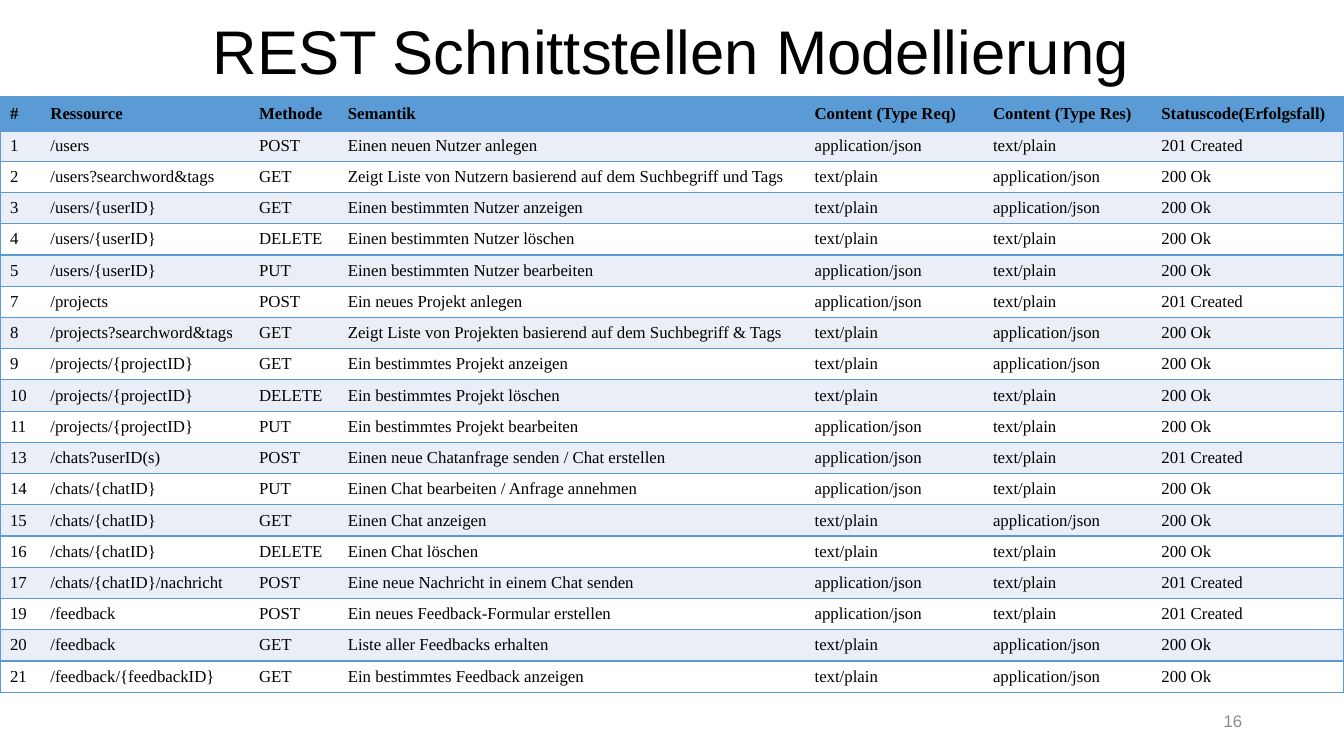
"""Build a slide with a table of REST endpoints."""
from dataclasses import dataclass

import lxml.etree
import pptx
import pptx.dml.color
import pptx.enum.text
import pptx.oxml.ns
import pptx.slide
import pptx.table
import pptx.text.text
import pptx.util

Inches = pptx.util.Inches
Align = pptx.enum.text.PP_ALIGN
Anchor = pptx.enum.text.MSO_ANCHOR

BLUE, PALE, WHITE, BLACK, GRAY = "5B9BD5", "EAEFF7", "FFFFFF", "000000", "8C8C8C"
JSON, PLAIN = "application/json", "text/plain"
CREATED, OK = "201 Created", "200 Ok"


@dataclass(frozen=True)
class Method:
    """Content types and success status shared by all calls of an HTTP method."""
    name: str
    request: str
    response: str
    status: str


@dataclass(frozen=True)
class Endpoint:
    """One numbered REST call."""
    number: int
    resource: str
    method: Method
    meaning: str

    def texts(self) -> list[str]:
        """Return the cell texts of this call."""
        method = self.method
        return [str(self.number), self.resource, method.name, self.meaning,
                method.request, method.response, method.status]


@dataclass(frozen=True)
class Column:
    """Heading and width in inches of a table column."""
    heading: str
    width: float


@dataclass(frozen=True)
class Label:
    """A line of free text with its box in inches."""
    text: str
    left: float
    top: float
    width: float
    height: float
    size: int
    color: str
    align: Align
    spacing: float


POST = Method("POST", JSON, PLAIN, CREATED)
GET = Method("GET", PLAIN, JSON, OK)
PUT = Method("PUT", JSON, PLAIN, OK)
DELETE = Method("DELETE", PLAIN, PLAIN, OK)

COLUMNS = [
    Column("#", 0.4),
    Column("Ressource", 2.07),
    Column("Methode", 0.88),
    Column("Semantik", 4.63),
    Column("Content (Type Req)", 1.77),
    Column("Content (Type Res)", 1.67),
    Column("Statuscode(Erfolgsfall)", 1.91),
]

ENDPOINTS = [
    Endpoint(1, "/users", POST, "Einen neuen Nutzer anlegen"),
    Endpoint(2, "/users?searchword&tags", GET,
             "Zeigt Liste von Nutzern basierend auf dem Suchbegriff und Tags"),
    Endpoint(3, "/users/{userID}", GET, "Einen bestimmten Nutzer anzeigen"),
    Endpoint(4, "/users/{userID}", DELETE, "Einen bestimmten Nutzer löschen"),
    Endpoint(5, "/users/{userID}", PUT, "Einen bestimmten Nutzer bearbeiten"),
    Endpoint(7, "/projects", POST, "Ein neues Projekt anlegen"),
    Endpoint(8, "/projects?searchword&tags", GET,
             "Zeigt Liste von Projekten basierend auf dem Suchbegriff & Tags"),
    Endpoint(9, "/projects/{projectID}", GET, "Ein bestimmtes Projekt anzeigen"),
    Endpoint(10, "/projects/{projectID}", DELETE, "Ein bestimmtes Projekt löschen"),
    Endpoint(11, "/projects/{projectID}", PUT, "Ein bestimmtes Projekt bearbeiten"),
    Endpoint(13, "/chats?userID(s)", POST, "Einen neue Chatanfrage senden / Chat erstellen"),
    Endpoint(14, "/chats/{chatID}", PUT, "Einen Chat bearbeiten / Anfrage annehmen"),
    Endpoint(15, "/chats/{chatID}", GET, "Einen Chat anzeigen"),
    Endpoint(16, "/chats/{chatID}", DELETE, "Einen Chat löschen"),
    Endpoint(17, "/chats/{chatID}/nachricht", POST, "Eine neue Nachricht in einem Chat senden"),
    Endpoint(19, "/feedback", POST, "Ein neues Feedback-Formular erstellen"),
    Endpoint(20, "/feedback", GET, "Liste aller Feedbacks erhalten"),
    Endpoint(21, "/feedback/{feedbackID}", GET, "Ein bestimmtes Feedback anzeigen"),
]

LABELS = [
    Label("REST Schnittstellen Modellierung", 0.91, -0.05, 11.5, 1.19, 44, BLACK,
          Align.CENTER, 0.9),
    Label("16", 9.42, 6.95, 3, 0.4, 12, GRAY, Align.RIGHT, 1.0),
]

TABLE_TOP, HEADER_HEIGHT, ROW_HEIGHT = 0.96, 0.33, 0.31


def rgb(color: str) -> pptx.dml.color.RGBColor:
    """Turn a hex string into a colour."""
    return pptx.dml.color.RGBColor.from_string(color)


def style_font(paragraph: pptx.text.text._Paragraph, name: str, size: int,
               color: str, bold: bool = False) -> None:
    """Set the font of a whole paragraph."""
    font = paragraph.font
    font.name, font.size, font.bold = name, pptx.util.Pt(size), bold
    font.color.rgb = rgb(color)


def add_label(slide: pptx.slide.Slide, label: Label) -> None:
    """Add a line of free text."""
    box = slide.shapes.add_textbox(Inches(label.left), Inches(label.top),
                                   Inches(label.width), Inches(label.height))
    frame = box.text_frame
    frame.word_wrap, frame.vertical_anchor = True, Anchor.MIDDLE
    paragraph = frame.paragraphs[0]
    paragraph.text, paragraph.alignment = label.text, label.align
    paragraph.line_spacing = label.spacing
    style_font(paragraph, "Arial", label.size, label.color)


def add_border(cell: pptx.table._Cell, side: str, points: float) -> None:
    """Draw one cell border, or hide it when its width is zero."""
    qn = pptx.oxml.ns.qn
    line = lxml.etree.SubElement(cell._tc.get_or_add_tcPr(), qn(f"a:ln{side}"),
                                 w=str(pptx.util.Pt(points)))
    if points:
        fill = lxml.etree.SubElement(line, qn("a:solidFill"))
        lxml.etree.SubElement(fill, qn("a:srgbClr"), val=BLUE)
    else:
        lxml.etree.SubElement(line, qn("a:noFill"))


def fill_cell(cell: pptx.table._Cell, text: str, color: str, bold: bool,
              borders: dict[str, float]) -> None:
    """Write and style one table cell."""
    cell.text, cell.vertical_anchor = text, Anchor.MIDDLE
    style_font(cell.text_frame.paragraphs[0], "Times New Roman", 12, BLACK, bold)
    for side, points in borders.items():
        add_border(cell, side, points)
    cell.fill.solid()
    cell.fill.fore_color.rgb = rgb(color)


def add_endpoint_table(slide: pptx.slide.Slide) -> None:
    """Add the heading row and one row for each endpoint."""
    rows = [[column.heading for column in COLUMNS]]
    rows += [endpoint.texts() for endpoint in ENDPOINTS]
    width = sum(column.width for column in COLUMNS)
    height = HEADER_HEIGHT + ROW_HEIGHT * len(ENDPOINTS)
    table = slide.shapes.add_table(len(rows), len(COLUMNS), 0, Inches(TABLE_TOP),
                                   Inches(width), Inches(height)).table
    for index, column in enumerate(COLUMNS):
        table.columns[index].width = Inches(column.width)
    last = len(COLUMNS) - 1
    for row, texts in enumerate(rows):
        header = row == 0
        table.rows[row].height = Inches(HEADER_HEIGHT if header else ROW_HEIGHT)
        color = BLUE if header else PALE if row % 2 else WHITE
        for index, text in enumerate(texts):
            borders = {"L": int(index == 0), "R": int(index == last),
                       "T": 1, "B": 3 if header else 1}
            fill_cell(table.cell(row, index), text, color, header, borders)


def main() -> None:
    """Build and save the presentation."""
    deck = pptx.Presentation()
    deck.slide_width, deck.slide_height = Inches(13.33), Inches(7.5)
    slide = deck.slides.add_slide(deck.slide_layouts[6])
    for label in LABELS:
        add_label(slide, label)
    add_endpoint_table(slide)
    deck.save("out.pptx")


if __name__ == "__main__":
    main()
